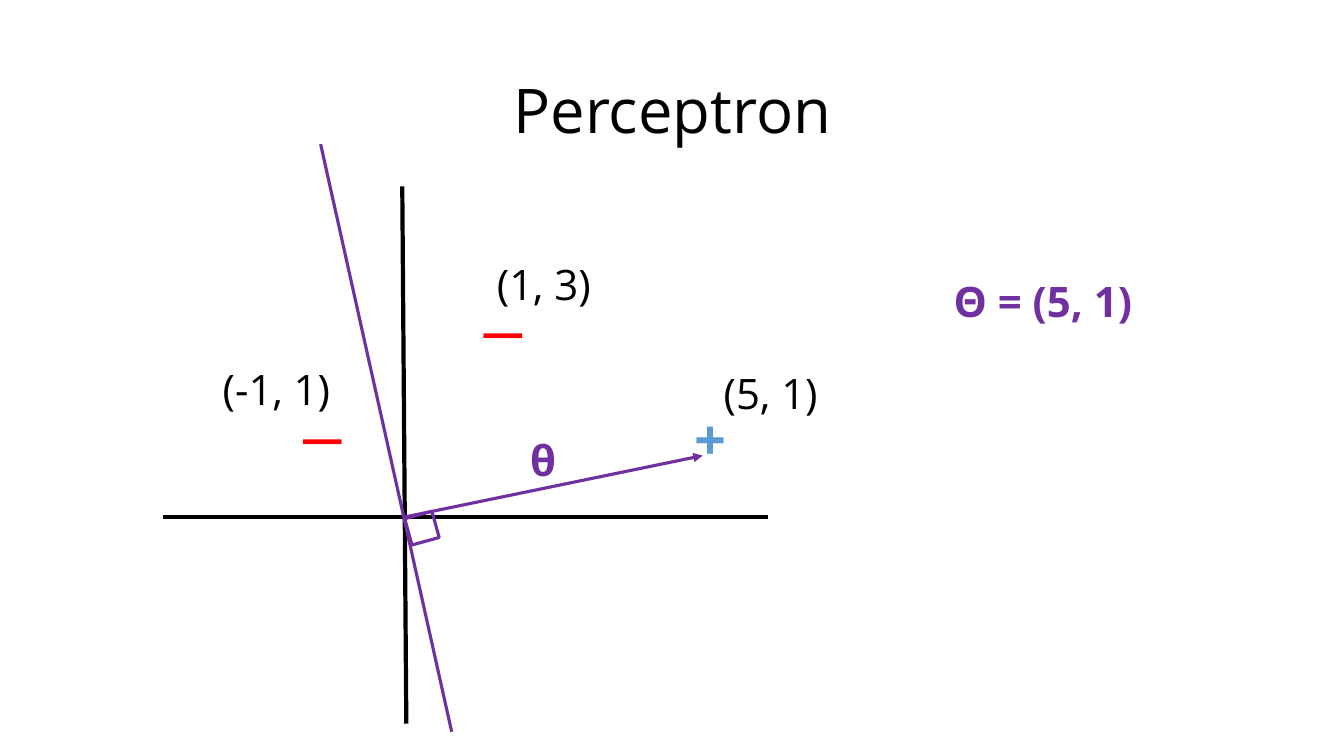
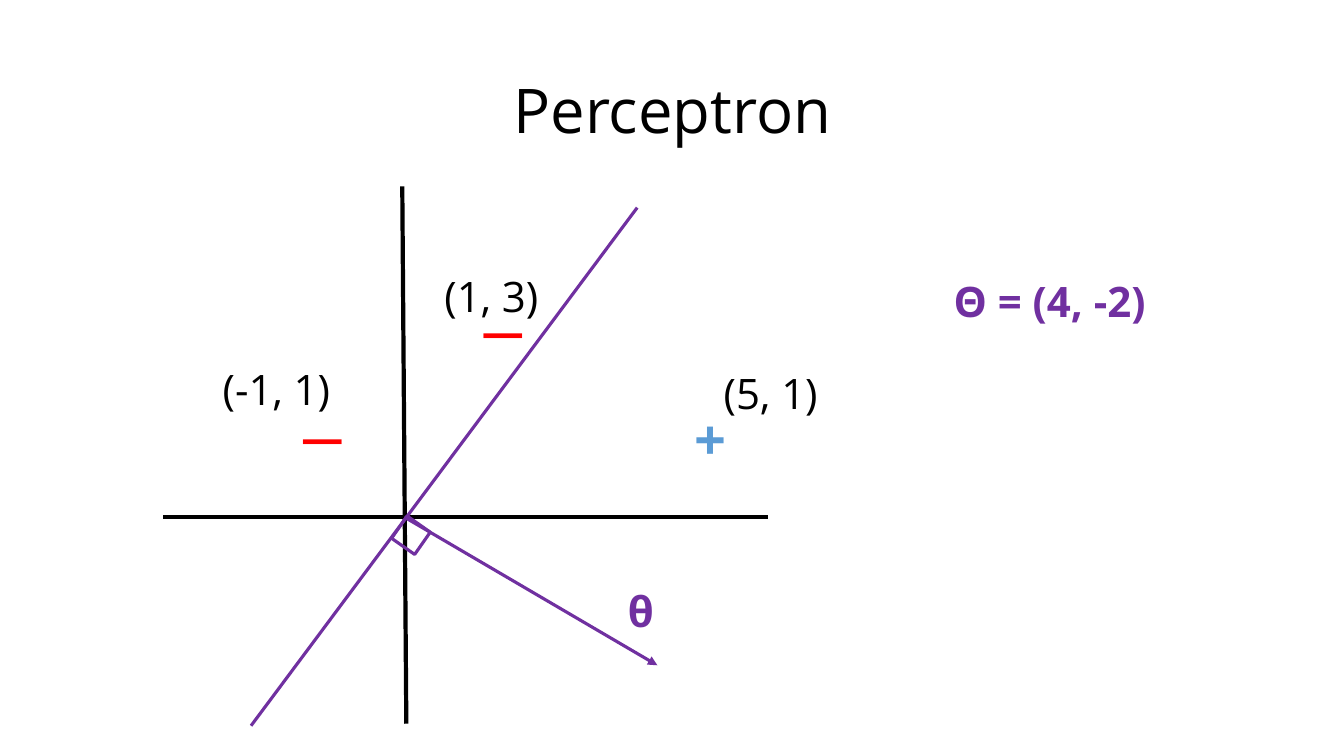
import pptx
import pptx.util
import pptx.dml.color
import pptx.enum.shapes
import pptx.enum.text
import pptx.oxml.ns
import lxml.etree

Inches = pptx.util.Inches
COLORS = {"ink": "000000", "theta": "7030A0", "negative": "FF0000", "positive": "5B9BD5"}
FONT = "Open Sans"
ORIGIN = (4.01, 5.13)


class Deck:
    def __init__(self):
        self.prs = pptx.Presentation()
        self.prs.slide_width = Inches(13.33)
        self.prs.slide_height = Inches(7.5)
        self.s = None

    def color(self, name):
        return pptx.dml.color.RGBColor.from_string(COLORS[name])

    def new_slide(self):
        self.s = self.prs.slides.add_slide(self.prs.slide_layouts[6])

    def text(self, text, x, y, w, h=0.61, color="ink", size=30, bold=False):
        sp = self.s.shapes.add_textbox(Inches(x), Inches(y), Inches(w), Inches(h))
        tf = sp.text_frame
        tf.word_wrap = False
        tf.auto_size = pptx.enum.text.MSO_AUTO_SIZE.SHAPE_TO_FIT_TEXT
        r = tf.paragraphs[0].add_run()
        r.text = text
        r.font.name = FONT
        r.font.size = pptx.util.Pt(size)
        r.font.bold = bold
        r.font.color.rgb = self.color(color)
        return tf

    def title(self, text):
        tf = self.text(text, 0.92, 0.4, 11.5, 1.45, size=44)
        tf.word_wrap = True
        tf.auto_size = pptx.enum.text.MSO_AUTO_SIZE.NONE
        tf.vertical_anchor = pptx.enum.text.MSO_ANCHOR.MIDDLE
        p = tf.paragraphs[0]
        p.alignment = pptx.enum.text.PP_ALIGN.CENTER
        p.line_spacing = 0.9

    def line(self, start, end, color="theta", width=2.25, arrow=False):
        sp = self.s.shapes.add_connector(
            pptx.enum.shapes.MSO_CONNECTOR.STRAIGHT, *(Inches(v) for v in (*start, *end)))
        sp.line.color.rgb = self.color(color)
        sp.line.width = pptx.util.Pt(width)
        qn = pptx.oxml.ns.qn
        if arrow:
            ln = sp.line._get_or_add_ln()
            lxml.etree.SubElement(ln, qn("a:tailEnd"), type="triangle")
        lxml.etree.SubElement(sp._element.spPr, qn("a:effectLst"))

    def right_angle(self, x, y, rotation):
        sp = self.s.shapes.add_shape(
            pptx.enum.shapes.MSO_SHAPE.RECTANGLE,
            Inches(x), Inches(y), Inches(0.27), Inches(0.28))
        sp.rotation = rotation
        sp.shadow.inherit = False
        sp.fill.background()
        sp.line.color.rgb = self.color("theta")
        sp.line.width = pptx.util.Pt(2.25)

    def axes(self):
        self.line((1.62, 5.13), (7.62, 5.13), "ink", 3)
        self.line((3.99, 1.85), (4.03, 7.18), "ink", 3)

    def points(self, label_1_3):
        self.text("+", 6.79, 3.96, 0.58, 0.77, "positive", 40, True)
        for x, y in ((2.89, 4.03), (4.68, 2.98)):
            self.text("—", x, y, 0.45, color="negative", bold=True)
        self.text("(5, 1)", 7.08, 3.6, 1.14)
        self.text("(-1, 1)", 2.11, 3.56, 1.28)
        self.text("(1, 3)", *label_1_3, 1.14)

    def perceptron(self, theta, theta_width, label_1_3, boundary, tip, theta_at, corner):
        self.new_slide()
        self.title("Perceptron")
        self.axes()
        self.points(label_1_3)
        self.text("Θ = " + theta, 9.36, 2.68, theta_width, color="theta", bold=True)
        self.line(*boundary)
        self.line(ORIGIN, tip, arrow=True)
        self.text("θ", *theta_at, 0.48, color="theta", bold=True)
        self.right_angle(*corner)


deck = Deck()
deck.perceptron(
    theta="(5, 1)", theta_width=2.1, label_1_3=(4.83, 2.52),
    boundary=((3.18, 1.43), (4.48, 7.26)), tip=(6.97, 4.52),
    theta_at=(5.16, 4.26), corner=(4.05, 5.1, 74.6))
deck.perceptron(
    theta="(4, -2)", theta_width=2.24, label_1_3=(4.31, 2.63),
    boundary=((2.49, 7.2), (6.32, 2.06)), tip=(6.52, 6.6),
    theta_at=(6.13, 5.76), corner=(3.94, 5.17, 125))
deck.prs.save("out.pptx")
